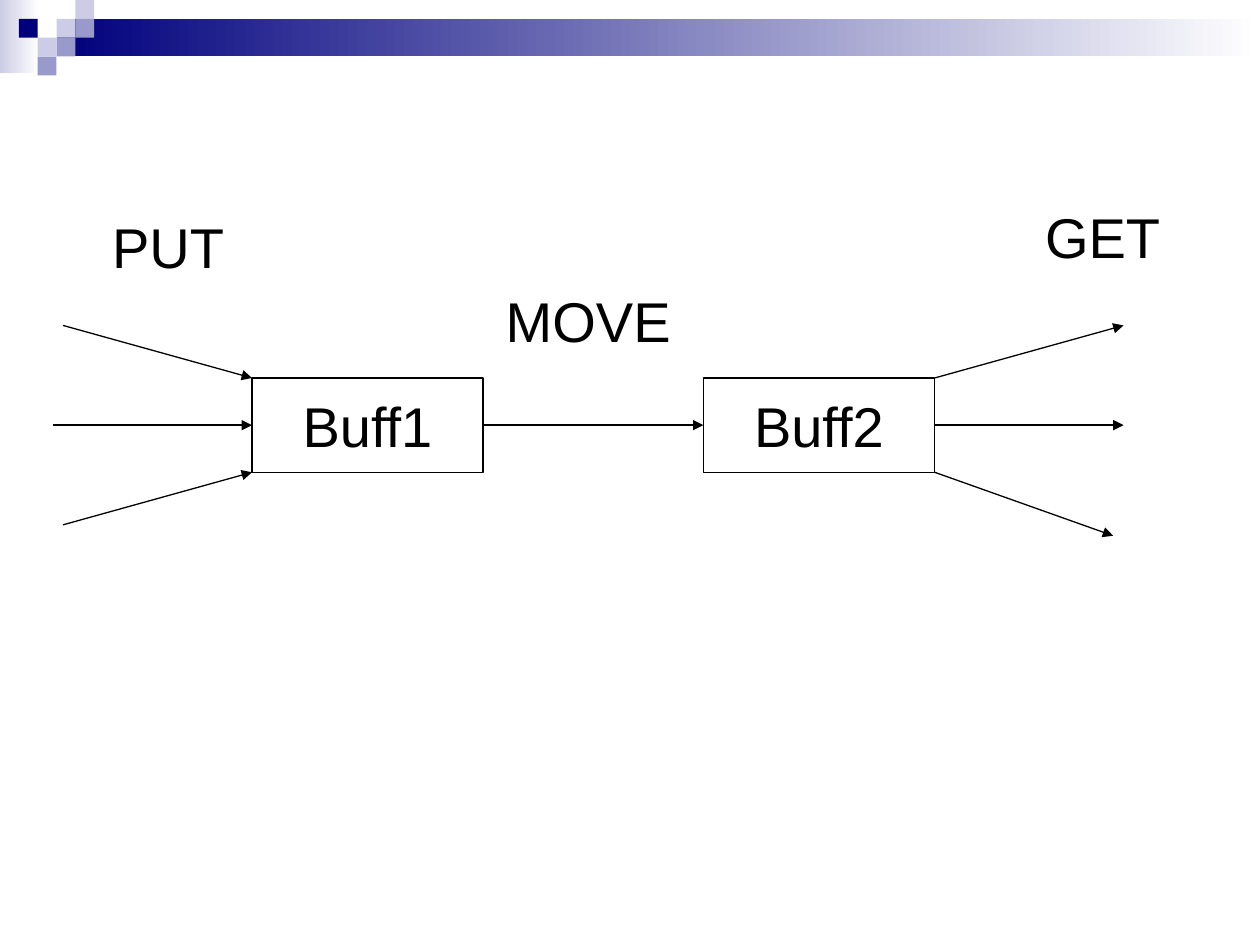
from lxml.etree import SubElement
from pptx import Presentation
from pptx.dml.color import RGBColor
from pptx.enum.shapes import MSO_CONNECTOR, MSO_SHAPE
from pptx.enum.text import MSO_ANCHOR, PP_ALIGN
from pptx.oxml.ns import qn
from pptx.util import Cm, Pt

BLACK = RGBColor(0x00, 0x00, 0x00)
WHITE = RGBColor(0xFF, 0xFF, 0xFF)
NAVY = RGBColor(0x00, 0x00, 0x7D)
LILAC = RGBColor(0x99, 0x99, 0xCC)
PALE = RGBColor(0xCC, 0xCC, 0xE6)

TILE = 0.38
TILES = [  # column, row, colour
    (3, 1, PALE), (4, 0, PALE), (4, 1, LILAC), (2, 2, PALE),
    (1, 1, NAVY), (3, 2, LILAC), (2, 3, LILAC),
]

LABEL_WIDTH, LABEL_HEIGHT = 4.66, 1.9
BUFFER_TOP = 7.62
BUFFER_BOTTOM = BUFFER_TOP + LABEL_HEIGHT
BUFFER_MIDDLE = BUFFER_TOP + LABEL_HEIGHT / 2
BUFF1_LEFT, BUFF2_LEFT = 5.08, 14.18
BUFF2_RIGHT = BUFF2_LEFT + LABEL_WIDTH
LEFT_SIDE, RIGHT_SIDE = 1, 3


def add_rectangle(page, left, top, width, height):
    box = page.shapes.add_shape(
        MSO_SHAPE.RECTANGLE, Cm(left), Cm(top), Cm(width), Cm(height))
    box.shadow.inherit = False
    return box


def add_tile(page, column, row, color):
    tile = add_rectangle(page, column * TILE, row * TILE, TILE, TILE)
    tile.fill.solid()
    tile.fill.fore_color.rgb = color
    tile.line.fill.background()


def add_fading_band(page, left, top, width, height, color):
    """Add a band that fades from color to white, left to right."""
    band = add_rectangle(page, left, top, width, height)
    band.line.fill.background()
    band.fill.gradient()
    band.fill.gradient_angle = 0
    for stop, stop_color in zip(band.fill.gradient_stops, (color, WHITE)):
        stop.color.rgb = stop_color


def write_label(box, text):
    frame = box.text_frame
    frame.text = text
    frame.word_wrap = False
    frame.vertical_anchor = MSO_ANCHOR.MIDDLE
    para = frame.paragraphs[0]
    para.alignment = PP_ALIGN.CENTER
    font = para.runs[0].font
    font.name = "Arial"
    font.size = Pt(32)
    font.color.rgb = BLACK


def add_buffer(page, text, left):
    box = add_rectangle(page, left, BUFFER_TOP, LABEL_WIDTH, LABEL_HEIGHT)
    box.fill.background()
    box.line.color.rgb = BLACK
    box.line.width = Pt(0.75)
    write_label(box, text)
    return box


def add_caption(page, text, left, top):
    box = page.shapes.add_textbox(
        Cm(left), Cm(top), Cm(LABEL_WIDTH), Cm(LABEL_HEIGHT))
    write_label(box, text)


def add_arrow(page, start, end):
    arrow = page.shapes.add_connector(
        MSO_CONNECTOR.STRAIGHT, *(Cm(value) for value in start + end))
    arrow.line.color.rgb = BLACK
    arrow.line.width = Pt(0.75)
    SubElement(arrow.line._get_or_add_ln(), qn("a:tailEnd"), type="triangle")
    SubElement(arrow._element.spPr, qn("a:effectLst"))
    return arrow


def add_header(page):
    add_fading_band(page, 0, 0, 0.79, 1.47, PALE)
    add_fading_band(page, 3 * TILE, TILE, 25.4 - 3 * TILE, 2 * TILE, NAVY)
    for column, row, color in TILES:
        add_tile(page, column, row, color)


def add_diagram(page):
    buff1 = add_buffer(page, "Buff1", BUFF1_LEFT)
    buff2 = add_buffer(page, "Buff2", BUFF2_LEFT)

    for text, left, top in (
            ("MOVE", 9.53, 5.5), ("PUT", 1.06, 4.02), ("GET", 19.9, 3.81)):
        add_caption(page, text, left, top)

    move = add_arrow(page, (BUFF1_LEFT + LABEL_WIDTH, BUFFER_MIDDLE),
                     (BUFF2_LEFT, BUFFER_MIDDLE))
    move.begin_connect(buff1, RIGHT_SIDE)
    move.end_connect(buff2, LEFT_SIDE)

    put = add_arrow(page, (1.06, BUFFER_MIDDLE), (BUFF1_LEFT, BUFFER_MIDDLE))
    put.end_connect(buff1, LEFT_SIDE)
    get = add_arrow(page, (BUFF2_RIGHT, BUFFER_MIDDLE), (22.65, BUFFER_MIDDLE))
    get.begin_connect(buff2, RIGHT_SIDE)

    add_arrow(page, (1.27, 6.56), (BUFF1_LEFT, BUFFER_TOP))
    add_arrow(page, (1.27, 10.58), (BUFF1_LEFT, BUFFER_BOTTOM))
    add_arrow(page, (BUFF2_RIGHT, BUFFER_TOP), (22.65, 6.56))
    add_arrow(page, (BUFF2_RIGHT, BUFFER_BOTTOM), (22.44, 10.8))


def main():
    deck = Presentation()
    deck.slide_width, deck.slide_height = Cm(25.4), Cm(19.05)
    page = deck.slides.add_slide(deck.slide_layouts[6])
    add_header(page)
    add_diagram(page)
    deck.save("out.pptx")


if __name__ == "__main__":
    main()
